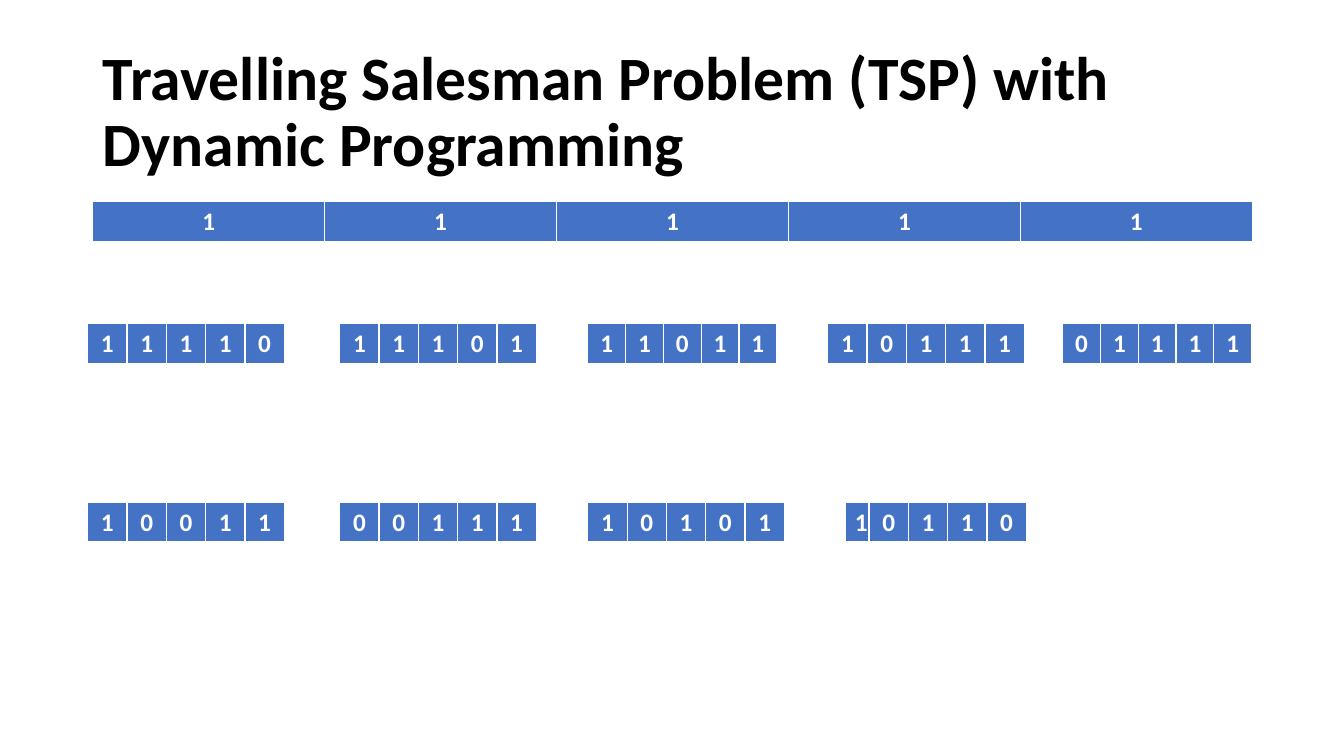
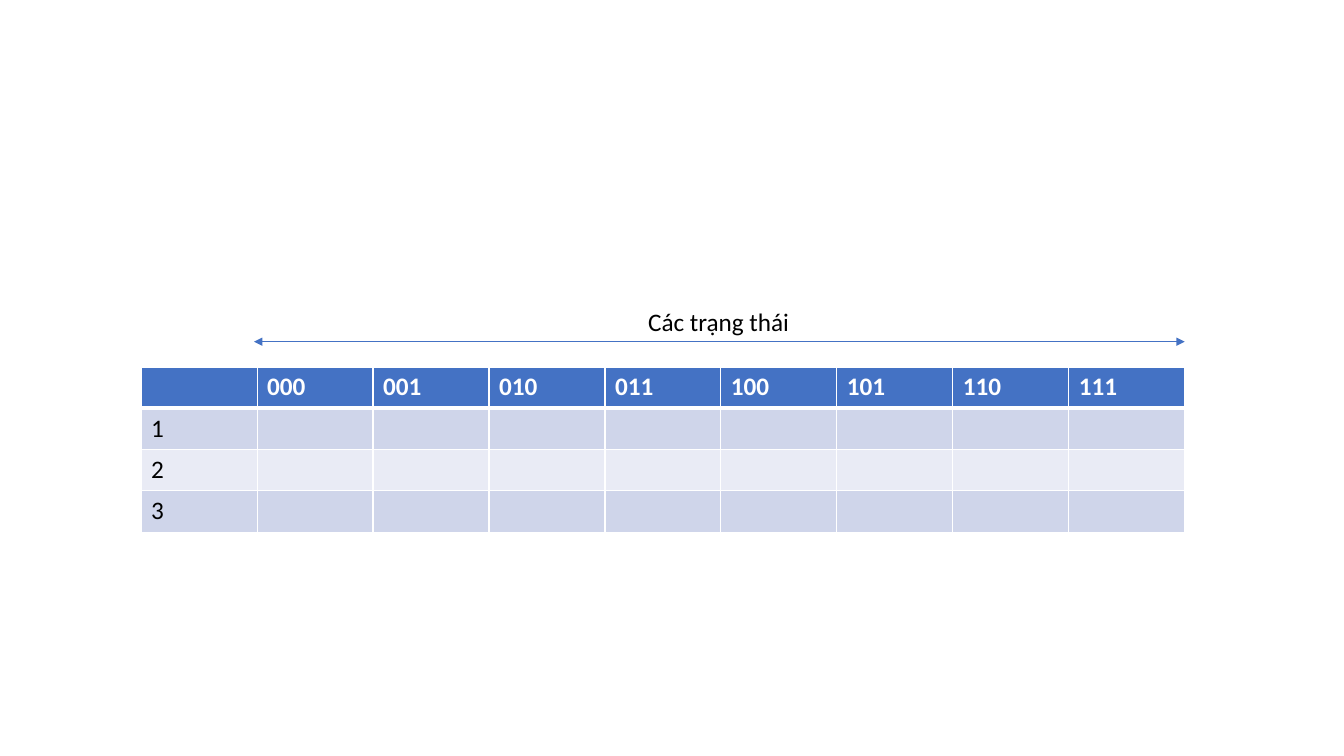
"""Build two slides on the travelling salesman problem with dynamic programming."""
from lxml.etree import SubElement
from pptx import Presentation
from pptx.dml.color import RGBColor
from pptx.enum.shapes import MSO_CONNECTOR
from pptx.enum.text import MSO_ANCHOR, MSO_AUTO_SIZE, PP_ALIGN
from pptx.oxml import parse_xml
from pptx.oxml.ns import nsdecls, qn
from pptx.util import Inches, Pt

COLORS = {
    "black": "000000",
    "white": "FFFFFF",
    "blue": "4472C4",
    "band_dark": "CFD5EA",
    "band_light": "E9EBF5",
}
FONT = "Calibri"
ROW_HEIGHT = 0.41
TITLE_LAYOUT, BLANK_LAYOUT = 5, 6

TITLE = "Travelling Salesman Problem (TSP) with Dynamic Programming"
BIT_TABLES = [
    ("11111", 0.92, 2, [2.3] * 5),
    ("11110", 0.87, 3.21, [0.39] * 5),
    ("11101", 3.37, 3.21, [0.39] * 5),
    ("11011", 5.83, 3.21, [0.375] * 5),
    ("10111", 8.21, 3.21, [0.39] * 5),
    ("01111", 10.54, 3.21, [0.375] * 5),
    ("10011", 0.87, 4.98, [0.39] * 5),
    ("00111", 3.37, 4.98, [0.39] * 5),
    ("10101", 5.83, 4.98, [0.39] * 5),
    ("10110", 8.38, 4.98, [0.23] + [0.39] * 4),
]

STATES = [f"{state:03b}" for state in range(8)]
CITIES = ["1", "2", "3"]
STATE_ROWS = [[""] + STATES] + [[city] + [""] * len(STATES) for city in CITIES]
STATES_LABEL = "Các trạng thái"


def write_text(text_frame, text, size=18, color="black", bold=False,
               align=PP_ALIGN.LEFT, line_spacing=1.0):
    paragraph = text_frame.paragraphs[0]
    paragraph.alignment = align
    paragraph.line_spacing = line_spacing
    run = paragraph.add_run()
    run.text = text
    run.font.name = FONT
    run.font.size = Pt(size)
    run.font.bold = bold
    run.font.color.rgb = RGBColor.from_string(COLORS[color])


def set_borders(cell, top, bottom):
    properties = cell._tc.get_or_add_tcPr()
    widths = {"lnL": 1, "lnR": 1, "lnT": top, "lnB": bottom}
    for position, (side, width) in enumerate(widths.items()):
        properties.insert(position, parse_xml(
            f'<a:{side} {nsdecls("a")} w="{Pt(width)}"><a:solidFill>'
            f'<a:srgbClr val="{COLORS["white"]}"/></a:solidFill></a:{side}>'))


def add_grid(slide, rows, left, top, widths, align):
    frame = slide.shapes.add_table(
        len(rows), len(widths), Inches(left), Inches(top),
        Inches(sum(widths)), Inches(ROW_HEIGHT * len(rows)))
    table = frame.table
    for column, width in zip(table.columns, widths):
        column.width = Inches(width)
    for row_index, row in enumerate(rows):
        header = row_index == 0
        band = "band_dark" if row_index % 2 else "band_light"
        for column_index, text in enumerate(row):
            cell = table.cell(row_index, column_index)
            cell.fill.solid()
            cell.fill.fore_color.rgb = RGBColor.from_string(
                COLORS["blue" if header else band])
            set_borders(cell, top=3 if row_index == 1 else 1,
                        bottom=3 if header else 1)
            if text:
                write_text(cell.text_frame, text, bold=header, align=align,
                           color="white" if header else "black")


def add_double_arrow(slide, left, right, y):
    arrow = slide.shapes.add_connector(
        MSO_CONNECTOR.STRAIGHT, Inches(left), Inches(y), Inches(right), Inches(y))
    arrow.line.color.rgb = RGBColor.from_string(COLORS["blue"])
    arrow.line.width = Pt(0.5)
    line = arrow.line._get_or_add_ln()
    for end in ("a:headEnd", "a:tailEnd"):
        SubElement(line, qn(end)).set("type", "triangle")
    SubElement(arrow._element.spPr, qn("a:effectLst"))


def build_subsets_slide(presentation):
    slide = presentation.slides.add_slide(presentation.slide_layouts[TITLE_LAYOUT])
    title = slide.shapes.title
    title.left, title.top = Inches(0.92), Inches(0.4)
    title.width, title.height = Inches(11.5), Inches(1.45)
    title.text_frame.vertical_anchor = MSO_ANCHOR.MIDDLE
    title.text_frame.auto_size = MSO_AUTO_SIZE.NONE
    write_text(title.text_frame, TITLE, size=44, bold=True, line_spacing=0.9)
    for bits, left, top, widths in BIT_TABLES:
        add_grid(slide, [list(bits)], left, top, widths, PP_ALIGN.CENTER)


def build_states_slide(presentation):
    slide = presentation.slides.add_slide(presentation.slide_layouts[BLANK_LAYOUT])
    add_grid(slide, STATE_ROWS, 1.4, 3.64, [1.15] * len(STATE_ROWS[0]), PP_ALIGN.LEFT)
    add_double_arrow(slide, 2.52, 11.75, 3.39)
    label = slide.shapes.add_textbox(
        Inches(6.33), Inches(2.99), Inches(1.62), Inches(0.4))
    label.text_frame.word_wrap = False
    label.text_frame.auto_size = MSO_AUTO_SIZE.SHAPE_TO_FIT_TEXT
    write_text(label.text_frame, STATES_LABEL)


def main():
    presentation = Presentation()
    presentation.slide_width = Inches(13.33)
    presentation.slide_height = Inches(7.5)
    build_subsets_slide(presentation)
    build_states_slide(presentation)
    presentation.save("out.pptx")


if __name__ == "__main__":
    main()
